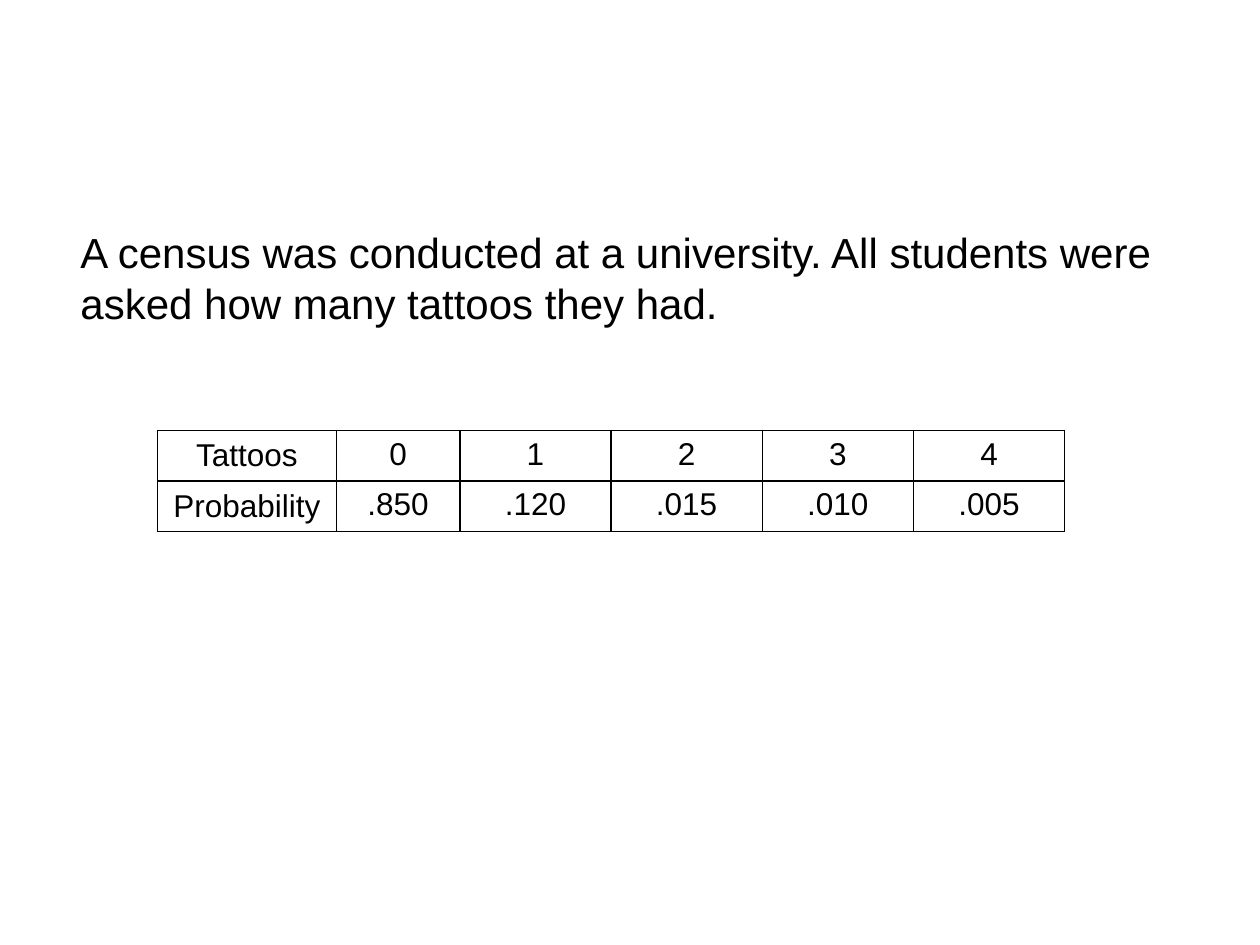
from lxml import etree
from pptx import Presentation
from pptx import util as u
from pptx.dml.color import RGBColor
from pptx.enum import text
from pptx.oxml.ns import qn

Pt = u.Pt
COLORS = {"ink": "000000", "paper": "FFFFFF"}
FONT = "Arial"


def add_run(paragraph, wording, size):
    run = paragraph.add_run()
    run.text = wording
    run.font.name = FONT
    run.font.size = Pt(size)
    run.font.color.rgb = RGBColor.from_string(COLORS["ink"])


def add_borders(cell, width):
    """Draw a solid line on all four sides; call before setting the fill."""
    properties = cell._tc.get_or_add_tcPr()
    for side in ("a:lnL", "a:lnR", "a:lnT", "a:lnB"):
        line = etree.SubElement(properties, qn(side), w=str(Pt(width)))
        fill = etree.SubElement(line, qn("a:solidFill"))
        etree.SubElement(fill, qn("a:srgbClr"), val=COLORS["ink"])


prs = Presentation()
prs.slide_width, prs.slide_height = Pt(720), Pt(540)
slide = prs.slides.add_slide(prs.slide_layouts[6])

# Problem statement
statement = slide.shapes.add_textbox(Pt(38.9), Pt(126), Pt(678.2), Pt(65.5)).text_frame
statement.word_wrap = True
statement.auto_size = text.MSO_AUTO_SIZE.SHAPE_TO_FIT_TEXT
add_run(
    statement.paragraphs[0],
    "A census was conducted at a university. All students were asked how many tattoos they had.",
    24,
)

# Probability distribution
distribution = [
    ["Tattoos", "0", "1", "2", "3", "4"],
    ["Probability", ".850", ".120", ".015", ".010", ".005"],
]
column_widths = [102.2, 70.6] + [86.4] * 4
row_height = 28.8

table = slide.shapes.add_table(
    len(distribution), len(column_widths), Pt(90), Pt(246),
    Pt(sum(column_widths)), Pt(row_height * len(distribution)),
).table
table.first_row = False
table.horz_banding = False
for column, width in zip(table.columns, column_widths):
    column.width = Pt(width)

for r, entries in enumerate(distribution):
    table.rows[r].height = Pt(row_height)
    for c, entry in enumerate(entries):
        cell = table.cell(r, c)
        is_label = c == 0
        cell.vertical_anchor = text.MSO_ANCHOR.MIDDLE if is_label else text.MSO_ANCHOR.TOP
        add_borders(cell, 1)
        cell.fill.solid()
        cell.fill.fore_color.rgb = RGBColor.from_string(COLORS["paper"])
        paragraph = cell.text_frame.paragraphs[0]
        paragraph.alignment = text.PP_ALIGN.CENTER
        add_run(paragraph, entry, 18)

prs.save("out.pptx")
